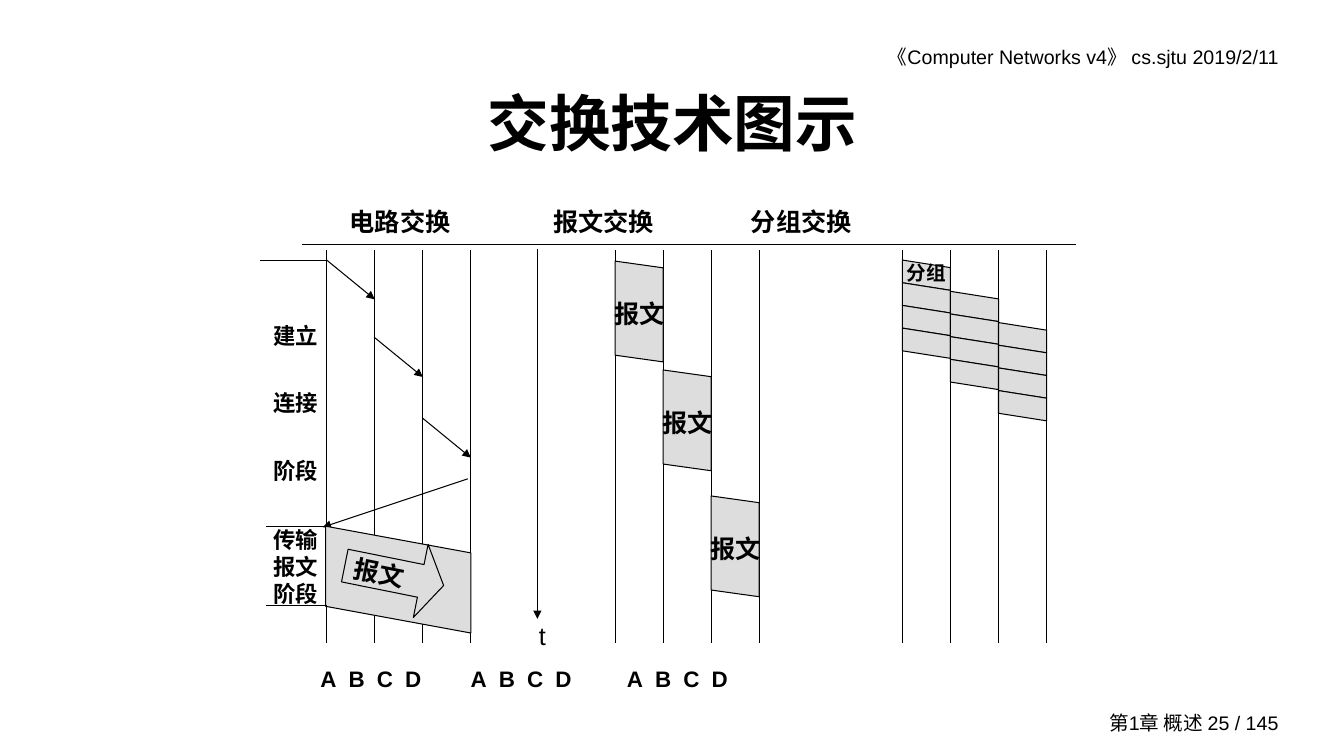
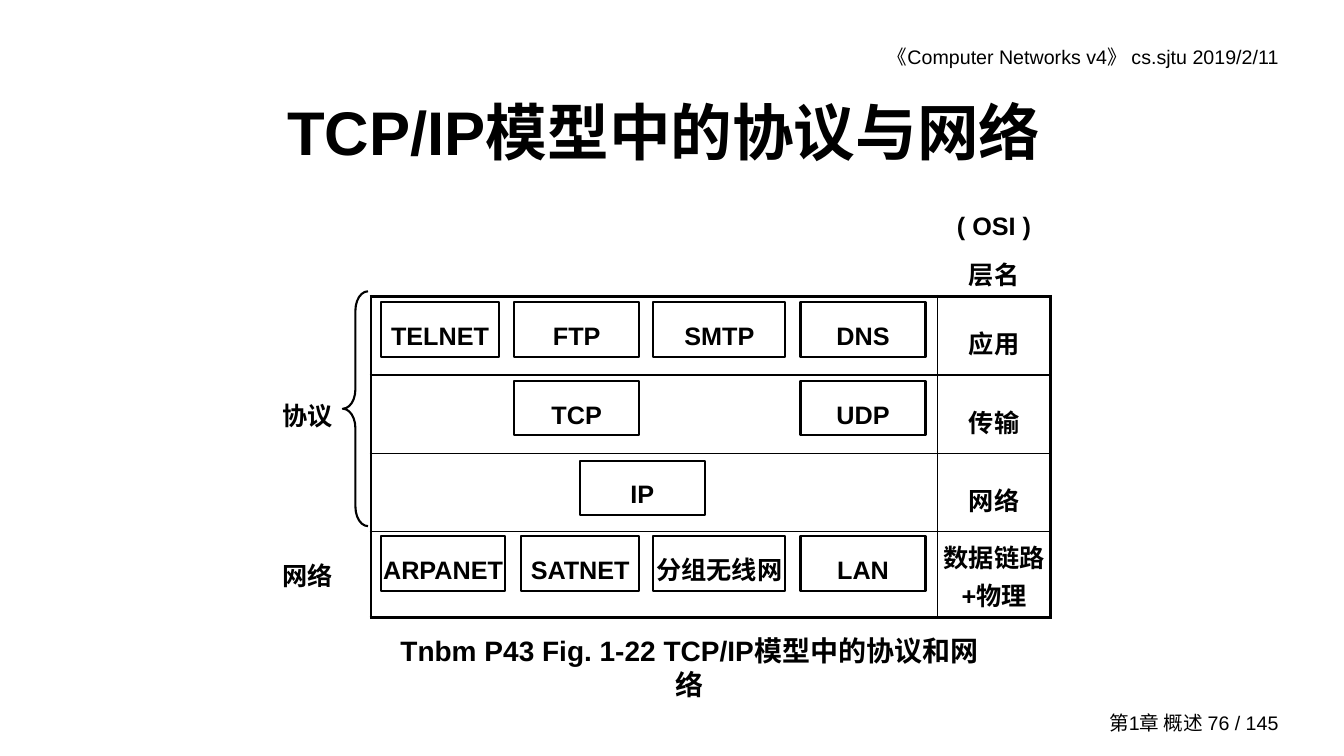
import pptx
import pptx.util
import pptx.dml.color
import pptx.enum.shapes
import pptx.enum.text
import pptx.oxml
import pptx.oxml.ns

Inches = pptx.util.Inches
Pt = pptx.util.Pt
Kind = pptx.enum.shapes.MSO_SHAPE
Align = pptx.enum.text.PP_ALIGN
Anchor = pptx.enum.text.MSO_ANCHOR

COLORS = {"ink": "000000", "band": "DDDDDD"}
FONT = "Arial"
PAGES = 145
THIN, BOLD = 1, 2.25


def rgb(name):
    return pptx.dml.color.RGBColor.from_string(COLORS[name])


def put(item, values):
    for name, value in values.items():
        setattr(item, name, value)


def node(tag, attrs="", inner=""):
    space = pptx.oxml.ns.nsdecls("a")
    return pptx.oxml.parse_xml(f"<a:{tag} {space} {attrs}>{inner}</a:{tag}>")


class Deck:
    """Style and current slide, with one method per kind of element."""

    def __init__(self):
        self.show = pptx.Presentation()
        put(self.show, {"slide_width": Inches(13.33), "slide_height": Inches(7.5)})
        self.slide = None

    def page(self, title, number, box):
        """Start a slide with its title, header and footer."""
        self.slide = self.show.slides.add_slide(self.show.slide_layouts[5])
        head = self.slide.shapes.title
        put(head, dict(zip(("left", "top", "width", "height"), map(Inches, box))))
        head.text_frame.auto_size = pptx.enum.text.MSO_AUTO_SIZE.NONE
        self.words(head.text_frame, [title], 44, Align.CENTER, mid=True)
        self.text((7.14, 0.4, 5.64, 0.34), "《Computer Networks v4》 cs.sjtu 2019/2/11",
                  size=14, align=Align.RIGHT, bold=False)
        self.text((10, 7, 2.78, 0.33), f"第1章 概述 {number} / {PAGES}",
                  size=14, align=Align.RIGHT, bold=False, mid=True)

    def words(self, frame, lines, size=18, align=Align.LEFT, bold=True, mid=False,
              pad=(0.1, 0.05), lead=None, tabs=()):
        side, edge = map(Inches, pad)
        put(frame, {"word_wrap": True, "margin_left": side, "margin_right": side,
                    "margin_top": edge, "margin_bottom": edge,
                    "vertical_anchor": Anchor.MIDDLE if mid else Anchor.TOP})
        frame.text = "\n".join(lines)
        for par in frame.paragraphs:
            if tabs:
                stops = "".join(f'<a:tab pos="{Inches(x)}" algn="l"/>' for x in tabs)
                par._p.get_or_add_pPr().append(node("tabLst", inner=stops))
            put(par, {"alignment": align, "line_spacing": lead})
            for run in par.runs:
                put(run.font, {"name": FONT, "size": Pt(size), "bold": bold})
                run.font.color.rgb = rgb("ink")

    def text(self, box, *lines, **style):
        shape = self.slide.shapes.add_textbox(*map(Inches, box))
        self.words(shape.text_frame, lines, **style)

    def shape(self, kind, box, fill=None, width=0.75, adj=(), turn=0):
        shape = self.slide.shapes.add_shape(kind, *map(Inches, box))
        shape.rotation = turn
        shape.shadow.inherit = False
        if fill:
            shape.fill.solid()
            shape.fill.fore_color.rgb = rgb(fill)
        else:
            shape.fill.background()
        shape.line.color.rgb = rgb("ink")
        shape.line.width = Pt(width)
        for i, value in enumerate(adj):
            shape.adjustments[i] = value
        return shape

    def band(self, x, y, w, h, slant):
        """Upright block with sloping top and bottom, placed by its visible bounds."""
        box = (x + (w - h) / 2, y + (h - w) / 2, h, w)
        self.shape(Kind.PARALLELOGRAM, box, "band", adj=(slant,), turn=270)

    def line(self, x1, y1, x2, y2, arrow=False):
        kind = pptx.enum.shapes.MSO_CONNECTOR.STRAIGHT
        wire = self.slide.shapes.add_connector(kind, *map(Inches, (x1, y1, x2, y2)))
        wire.line.color.rgb = rgb("ink")
        wire.line.width = Pt(0.75)
        if arrow:
            wire.line._get_or_add_ln().append(node("tailEnd", 'type="triangle"'))
        wire._element.spPr.append(node("effectLst"))

    def grid(self, spot, cols, rows):
        """Empty table with plain cells."""
        size = (*spot, sum(cols), sum(rows))
        table = self.slide.shapes.add_table(
            len(rows), len(cols), *map(Inches, size)).table
        put(table, {"first_row": False, "horz_banding": False})
        for col, width in zip(table.columns, cols):
            col.width = Inches(width)
        for row, height in zip(table.rows, rows):
            row.height = Inches(height)
        return table

    def cell(self, cell, edges, lines, **style):
        """Borders (points, 0 for none) by side, no fill, and text."""
        for side, width in edges.items():
            ink = (f'<a:solidFill><a:srgbClr val="{COLORS["ink"]}"/></a:solidFill>'
                   if width else "<a:noFill/>")
            cell._tc.get_or_add_tcPr().append(
                node("ln" + side, f'w="{Pt(width)}"', ink))
        cell.fill.background()
        self.words(cell.text_frame, lines, align=Align.CENTER, **style)
        put(cell, {"vertical_anchor": Anchor.MIDDLE, "margin_left": 0, "margin_right": 0,
                   "margin_top": Inches(0.05), "margin_bottom": Inches(0.05)})


def switching(deck):
    deck.page("交换技术图示", 25, (2.42, 0.67, 8.5, 1.08))
    starts, step = (3.24, 6.1, 8.95), 1.43 / 3
    label = {"align": Align.CENTER, "mid": True, "pad": (0, 0)}

    # Headings and time lines of the four nodes
    deck.text((3.37, 2, 6.9, 0.48), "电路交换\t报文交换\t分组交换", tabs=(2.02, 3.98))
    deck.line(3, 2.43, 10.67, 2.43)
    for start in starts:
        for i in range(4):
            x = start + i * step
            deck.line(x, 2.48, x, 6.38)
    stops = [a + 0.28 * i for a in (0, 1.49, 3.04) for i in range(4)]
    deck.text((3.08, 6.55, 7.5, 0.36), "\t".join("ABCD" * 3), size=16, tabs=stops[1:])

    # Circuit switching: set-up calls, reply, then the message
    for i, y in enumerate((2.58, 3.35, 4.15)):
        x = starts[0] + i * step
        deck.line(x, y, x + step, y + 0.39, arrow=True)
    deck.line(4.64, 4.75, 3.2, 5.23, arrow=True)
    deck.band(3.23, 5.22, 1.44, 1.06, 0.25)
    arrow = deck.shape(Kind.RIGHT_ARROW, (3.41, 5.34, 1, 0.74),
                       adj=(0.446, 0.313), turn=11.4)
    deck.words(arrow.text_frame, ["报文"], mid=True)
    for x, y in ((2.58, 2.58), (2.64, 5.22), (2.64, 6.01)):
        deck.line(x, y, 3.24, y)
    deck.text((2.58, 2.75, 0.67, 2.42), "建立", "连接", "阶段",
              size=16, align=Align.RIGHT, lead=2.5)
    deck.text((2.5, 5.17, 0.75, 0.92), "传输", "报文", "阶段",
              size=16, align=Align.RIGHT)

    # Time axis
    deck.line(5.33, 2.47, 5.33, 6.14, arrow=True)
    deck.text((5.17, 6.1, 0.42, 0.48), "t", align=Align.CENTER, bold=False)

    # Message switching
    for i, y in enumerate((2.59, 3.67, 4.92)):
        x = starts[1] + i * step
        deck.band(x, y, step, 1, 0.14)
        deck.text((x - 0.05, y + 0.33, 0.58, 0.38), "报文", **label)

    # Packet switching: four packets over three hops
    for hop in range(3):
        for k in range(4):
            y = 2.58 + 0.31 * hop + 0.9 * k / 4
            deck.band(starts[2] + hop * step, y, step, 0.3, 0.25)
    deck.text((8.9, 2.55, 0.58, 0.31), "分组", size=14, **label)


def protocols(deck):
    deck.page("TCP/IP模型中的协议与网络", 76, (0.92, 0.67, 11.33, 1.25))

    # Layer table: heavy frame, thin inner lines, open header row and left column
    rows = (0.99, 0.78, 0.78, 0.77, 0.86)
    table = deck.grid((2.42, 1.95), (1.26, 5.62, 1.12), rows)
    sides = {2: ["协议"], 4: ["网络"]}
    layers = (["( OSI )", "层名"], ["应用"], ["传输"], ["网络"], ["数据链路", "+物理"])

    def upright(row, k):
        return 0 if row == 0 or k == 0 else THIN if k == 2 else BOLD

    def level(k, col):
        return 0 if col == 0 or k == 0 else BOLD if k in (1, len(rows)) else THIN

    for r, layer in enumerate(layers):
        for c, lines in enumerate((sides.get(r, []), [], layer)):
            edges = {"L": upright(r, c), "R": upright(r, c + 1),
                     "T": level(r, c), "B": level(r + 1, c)}
            lead = None if c < 2 else 1.05 if r == 4 else 1.4
            deck.cell(table.cell(r, c), edges, lines, lead=lead)
    deck.shape(Kind.LEFT_BRACE, (3.4, 2.89, 0.25, 2.33), width=1.5, adj=(0.767, 0.5))

    # Protocol and network boxes: left, width, name
    boxes = {
        3: ((3.78, 1.17, "TELNET"), (5.1, 1.24, "FTP"),
            (6.48, 1.31, "SMTP"), (7.94, 1.24, "DNS")),
        3.78: ((5.1, 1.24, "TCP"), (7.94, 1.24, "UDP")),
        4.57: ((5.75, 1.24, "IP"),),
        5.32: ((3.78, 1.23, "ARPANET"), (5.17, 1.17, "SATNET"),
               (6.48, 1.31, "分组无线网"), (7.94, 1.24, "LAN")),
    }
    for y, row in boxes.items():
        for x, w, name in row:
            box = deck.shape(Kind.RECTANGLE, (x, y, w, 0.54), width=1.5)
            deck.words(box.text_frame, [name], align=Align.CENTER, mid=True,
                       pad=(0, 0.05), lead=1.4)

    # Caption
    deck.text((3.74, 6.24, 6.2, 0.8), "Tnbm P43 Fig. 1-22 TCP/IP模型中的协议和网络",
              size=20, align=Align.CENTER)


def main():
    deck = Deck()
    switching(deck)
    protocols(deck)
    deck.show.save("out.pptx")


if __name__ == "__main__":
    main()
